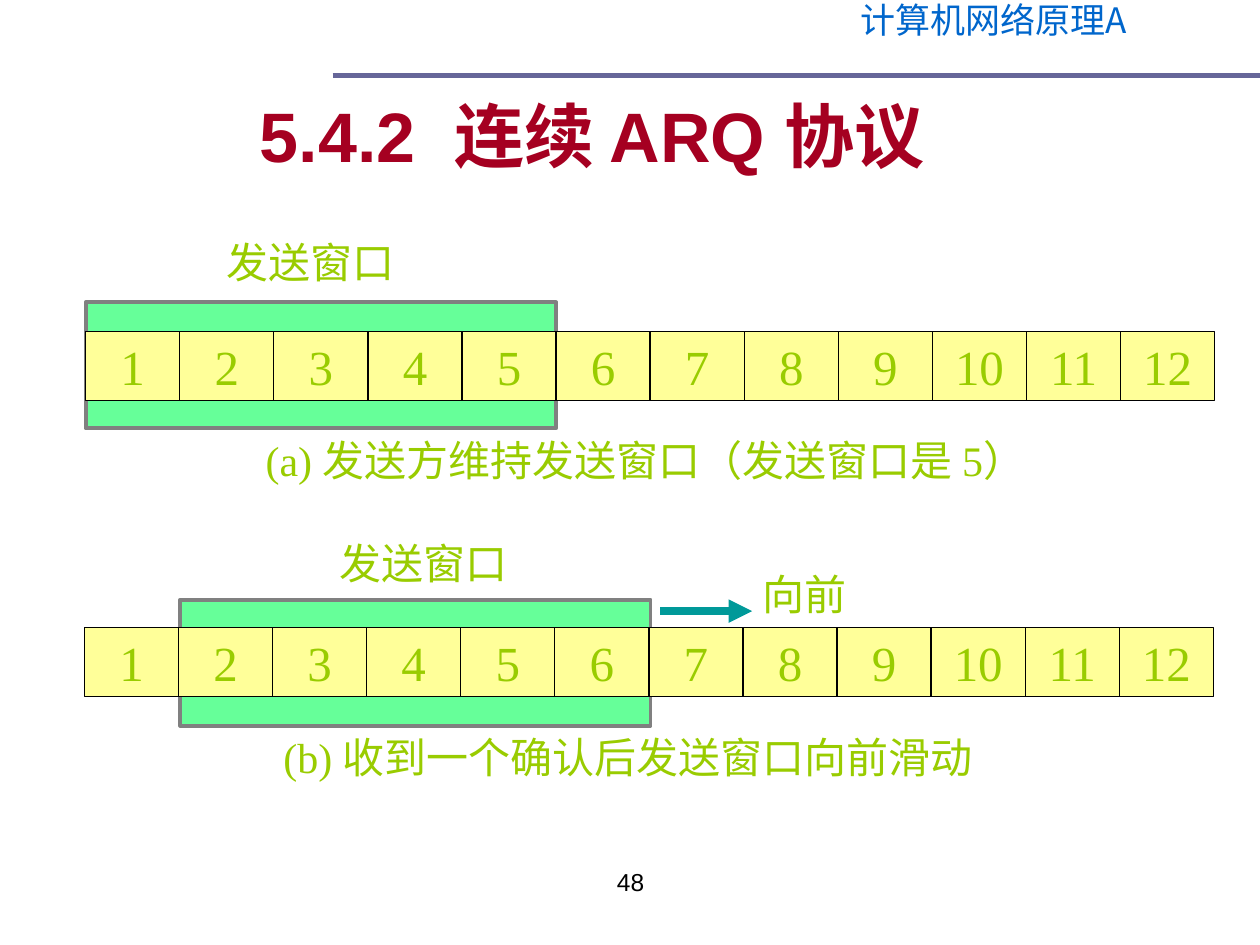
from dataclasses import dataclass

from lxml.etree import SubElement
from pptx import Presentation
from pptx.dml.color import RGBColor
from pptx.enum.shapes import MSO_CONNECTOR, MSO_SHAPE
from pptx.enum.text import MSO_ANCHOR, MSO_AUTO_SIZE, PP_ALIGN
from pptx.oxml.ns import qn
from pptx.util import Inches, Pt


@dataclass(frozen=True)
class Theme:
    latin: str = "Times New Roman"
    sans: str = "Arial"
    cjk: str = "Noto Sans CJK SC"
    course: str = "0066CC"
    rule: str = "666699"
    title: str = "A50021"
    label: str = "99CC00"
    window: str = "66FF99"
    window_line: str = "808080"
    frame: str = "FFFF99"
    arrow: str = "009999"
    black: str = "000000"
    title_size: int = 40
    number_size: int = 28
    label_size: int = 24
    course_size: int = 20
    page_size: int = 14


T = Theme()
FRAMES = 12
WINDOW_SIZE = 5
CELL_W = 8.96 / FRAMES
CELL_H = 0.55


def style_run(r, size, color, font, bold=False):
    r.font.size = Pt(size)
    r.font.bold = bold
    r.font.name = font
    r.font.color.rgb = RGBColor.from_string(color)
    SubElement(r.font._element, qn("a:ea")).set("typeface", T.cjk)


def add_text(shapes, text, box, size=T.label_size, color=T.label, font=T.latin,
             align=PP_ALIGN.LEFT, anchor=MSO_ANCHOR.TOP, wrap=False):
    sp = shapes.add_textbox(*map(Inches, box))
    tf = sp.text_frame
    tf.text = text
    tf.word_wrap = wrap
    tf.auto_size = MSO_AUTO_SIZE.NONE
    tf.vertical_anchor = anchor
    p = tf.paragraphs[0]
    p.alignment = align
    style_run(p.runs[0], size, color, font)
    return p


def add_box(shapes, box, fill, line, width):
    sp = shapes.add_shape(MSO_SHAPE.RECTANGLE, *map(Inches, box))
    sp.shadow.inherit = False
    sp.fill.solid()
    sp.fill.fore_color.rgb = RGBColor.from_string(fill)
    sp.line.color.rgb = RGBColor.from_string(line)
    sp.line.width = Pt(width)


def add_line(shapes, start, end, color, width, arrow=False):
    cn = shapes.add_connector(MSO_CONNECTOR.STRAIGHT, *map(Inches, start + end))
    cn.line.color.rgb = RGBColor.from_string(color)
    cn.line.width = Pt(width)
    if arrow:
        SubElement(cn.line._get_or_add_ln(), qn("a:tailEnd")).set("type", "triangle")
    SubElement(cn._element.spPr, qn("a:effectLst"))


def add_title(s):
    sp = s.shapes.title
    sp.left, sp.top, sp.width, sp.height = map(Inches, (0.44, 0.44, 8.52, 1.25))
    tf = sp.text_frame
    tf.word_wrap = True
    tf.auto_size = MSO_AUTO_SIZE.NONE
    tf.vertical_anchor = MSO_ANCHOR.MIDDLE
    p = tf.paragraphs[0]
    p.alignment = PP_ALIGN.CENTER
    for text in ("5.4.2", " ", "连续 ARQ 协议"):
        r = p.add_run()
        r.text = text
        style_run(r, T.title_size, T.title, T.sans, bold=True)
    # Widen the gap after the section number
    p.runs[1].font._element.set("spc", "1100")


def add_frame_row(shapes, left, top, window_box):
    """Numbered frames lying over the send window."""
    add_box(shapes, window_box, T.window, T.window_line, 2.25)
    add_box(shapes, (left, top, CELL_W * FRAMES, CELL_H), T.frame, T.black, 0.75)
    for i in range(FRAMES):
        x = left + i * CELL_W
        add_text(shapes, str(i + 1), (x, top, CELL_W, CELL_H), T.number_size,
                 align=PP_ALIGN.CENTER, anchor=MSO_ANCHOR.MIDDLE)
        if i:
            add_line(shapes, (x, top), (x, top + CELL_H), T.black, 0.75)


def main():
    prs = Presentation()
    prs.slide_width, prs.slide_height = Inches(10), Inches(7.5)
    s = prs.slides.add_slide(prs.slide_layouts[5])
    window_w = WINDOW_SIZE * CELL_W

    # Course header and title
    p = add_text(s.shapes, "计算机网络原理A", (6.73, 0, 2.99, 0.44),
                 T.course_size, T.course, T.cjk)
    p.line_spacing = 0.8
    add_line(s.shapes, (2.64, 0.6), (10, 0.6), T.rule, 3)
    add_title(s)

    # (a) Window over frames 1 to 5
    add_frame_row(s.shapes, 0.68, 2.63, (0.68, 2.4, window_w, 1))
    add_text(s.shapes, "发送窗口", (1.7, 1.83, 1.53, 0.5))
    add_text(s.shapes, "(a) 发送方维持发送窗口（发送窗口是 5）", (2.01, 3.4, 6.56, 0.5))

    # (b) Window moved forward by one frame
    moved = s.shapes.add_group_shape().shapes
    add_frame_row(moved, 0.67, 4.98, (1.43, 4.76, window_w, 1))
    add_text(moved, "发送窗口", (2.6, 4.22, 1.53, 0.5))
    add_line(moved, (5.24, 4.85), (5.97, 4.85), T.arrow, 4.5, arrow=True)
    add_text(moved, "向前", (5.95, 4.46, 0.86, 0.5))
    add_text(moved, "(b) 收到一个确认后发送窗口向前滑动", (2.15, 5.76, 5.75, 0.5))

    # Page number
    add_text(s.shapes, "48", (3.42, 6.83, 3.17, 0.52), T.page_size, T.black, T.sans,
             align=PP_ALIGN.CENTER, wrap=True)

    prs.save("out.pptx")


if __name__ == "__main__":
    main()
